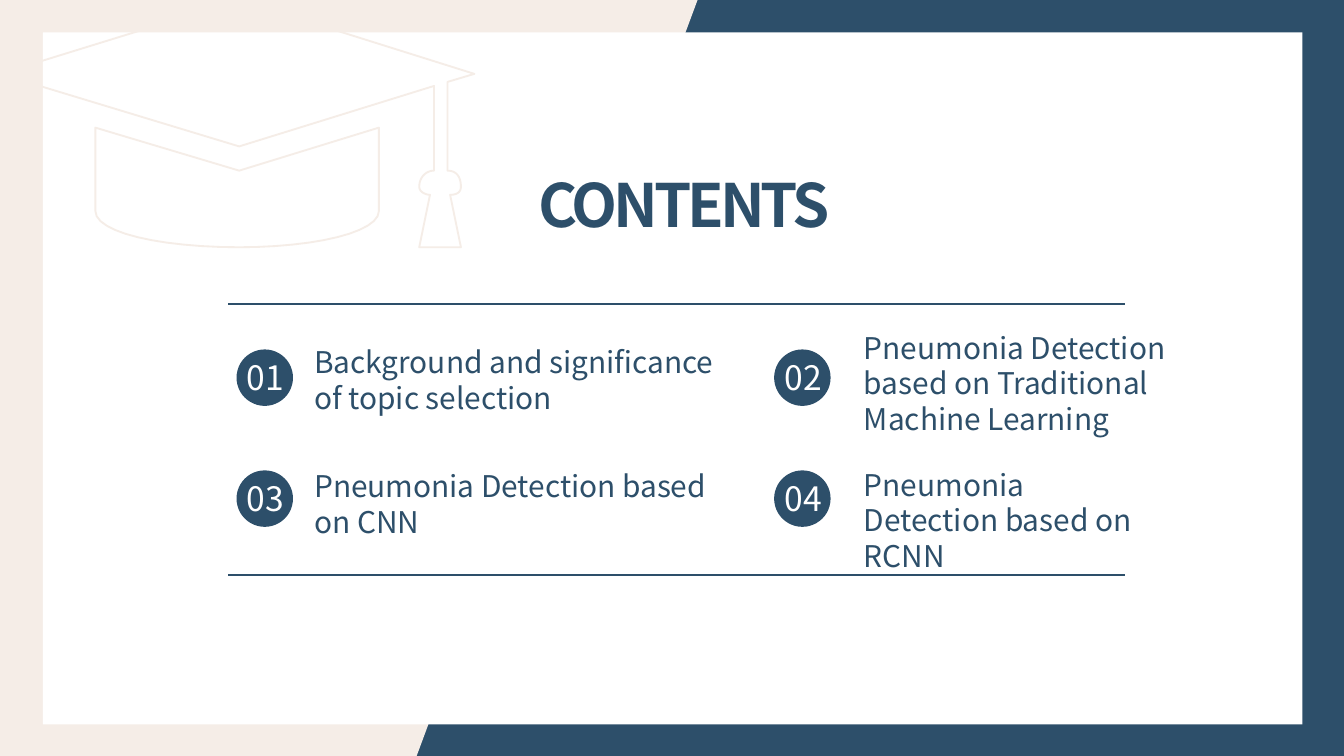
from pptx import Presentation
from pptx.dml.color import RGBColor
from pptx.enum.shapes import MSO_CONNECTOR, MSO_SHAPE
from pptx.enum.text import MSO_AUTO_SIZE, PP_ALIGN
from pptx.oxml.ns import qn
from pptx.util import Inches, Pt
from lxml.etree import SubElement

NAVY, CREAM, WHITE = "2D4F6A", "F5EDE7", "FFFFFF"
FACE = "Noto Sans CJK JP"
WIDE = 10
HIGH = WIDE * 9 / 16

TITLE = {"size": 32, "color": NAVY, "bold": True, "align": PP_ALIGN.CENTER}
TOPIC = {"size": 16, "color": NAVY, "bold": False, "align": PP_ALIGN.LEFT}
NUMBER = {"size": 18, "color": WHITE, "bold": False, "align": PP_ALIGN.CENTER}

TOPICS = [
    ("Background and significance of topic selection", (2.24, 2.51, 3.31, 0.64)),
    ("Pneumonia Detection based on Traditional Machine Learning", (6.33, 2.4, 2.48, 0.91)),
    ("Pneumonia Detection based on CNN", (2.24, 3.43, 3.29, 0.64)),
    ("Pneumonia Detection based on RCNN", (6.33, 3.42, 2.39, 0.64)),
]
LEFTS, TOPS, DOT = (1.76, 5.76), (2.6, 3.5), 0.42
RULES = (2.26, 4.28)

PANEL = [(0, 0), (5.19, 0), (3.1, HIGH), (0, HIGH)]
BOARD = [
    (3.43, 1.39), (3.43, 1.32, 3.4, 1.27, 3.33, 1.27), (3.33, 0.61),
    (3.53, 0.55), (1.78, 0), (0, 0.55), (1.78, 1.09), (3.23, 0.64),
    (3.23, 1.27), (3.17, 1.27, 3.12, 1.32, 3.12, 1.39),
    (3.12, 1.43, 3.17, 1.45, 3.2, 1.45), (3.12, 1.84), (3.43, 1.84),
    (3.35, 1.45), (3.4, 1.45, 3.43, 1.43, 3.43, 1.39),
]
CROWN = [
    (0.71, 0.95), (0.71, 1.57), (0.71, 1.73, 1.19, 1.84, 1.78, 1.84),
    (2.34, 1.84, 2.82, 1.73, 2.82, 1.57), (2.82, 0.95), (1.78, 1.27),
]


def tint(color):
    return RGBColor.from_string(color)


def style(shape, fill=None, line=None):
    shape.shadow.inherit = False
    if fill:
        shape.fill.solid()
        shape.fill.fore_color.rgb = tint(fill)
    else:
        shape.fill.background()
    if line:
        shape.line.color.rgb = tint(line)
        shape.line.width = Pt(1)
    else:
        shape.line.fill.background()


def add_shape(kind, box, fill):
    style(slide.shapes.add_shape(kind, *map(Inches, box)), fill)


def add_text(text, box, form):
    shape = slide.shapes.add_textbox(*map(Inches, box))
    frame = shape.text_frame
    frame.word_wrap = True
    frame.auto_size = MSO_AUTO_SIZE.SHAPE_TO_FIT_TEXT
    para = frame.paragraphs[0]
    para.alignment = form["align"]
    para.line_spacing = Pt(round(form["size"] * 1.2, 1))
    run = para.add_run()
    run.text = text
    values = {"name": FACE, "size": Pt(form["size"]), "bold": form["bold"]}
    for key, value in values.items():
        setattr(run.font, key, value)
    run.font.color.rgb = tint(form["color"])
    props = run._r.get_or_add_rPr()
    SubElement(props, qn("a:ea")).set("typeface", FACE)
    return props


def trace(steps, count=12):
    points = [steps[0]]
    for step in steps[1:]:
        if len(step) == 2:
            points.append(step)
            continue
        knots = [points[-1], step[:2], step[2:4], step[4:]]
        for index in range(1, count + 1):
            t = index / count
            parts = ((1 - t) ** 3, 3 * t * (1 - t) ** 2, 3 * t * t * (1 - t), t ** 3)
            points.append(tuple(sum(p * k[axis] for p, k in zip(parts, knots)) for axis in (0, 1)))
    return [(Inches(x), Inches(y)) for x, y in points]


def add_free(paths, fill=None, line=None):
    first, *rest = map(trace, paths)
    pen = slide.shapes.build_freeform(*first[0])
    pen.add_line_segments(first[1:], close=True)
    for points in rest:
        pen.move_to(*points[0])
        pen.add_line_segments(points[1:], close=True)
    style(pen.convert_to_shape(), fill, line)


deck = Presentation()
deck.slide_width, deck.slide_height = Inches(WIDE), Inches(HIGH)
slide = deck.slides.add_slide(deck.slide_layouts[6])
slide.background.fill.solid()
slide.background.fill.fore_color.rgb = tint("F7F7F7")

add_shape(MSO_SHAPE.RECTANGLE, (0, 0, WIDE, HIGH), NAVY)
add_free([PANEL], fill=CREAM)
add_shape(MSO_SHAPE.RECTANGLE, (0.32, 0.24, 9.37, 5.15), WHITE)
add_text("CONTENTS", (3.53, 1.2, 3.12, 0.64), TITLE).set("spc", "-220")

for index, (text, box) in enumerate(TOPICS):
    row, col = divmod(index, 2)
    left, top = LEFTS[col], TOPS[row]
    add_text(text, box, TOPIC)
    add_shape(MSO_SHAPE.OVAL, (left, top, DOT, DOT), NAVY)
    add_text(f"{index + 1:02}", (left - 0.04, top + 0.01, 0.51, 0.4), NUMBER)

for top in RULES:
    ends = map(Inches, (1.7, top, 8.37, top))
    rule = slide.shapes.add_connector(MSO_CONNECTOR.STRAIGHT, *ends)
    rule.line.color.rgb = tint(NAVY)
    rule.line.width = Pt(1)
    SubElement(rule._element.spPr, qn("a:effectLst"))

add_free([BOARD, CROWN], line=CREAM)

deck.save("out.pptx")
